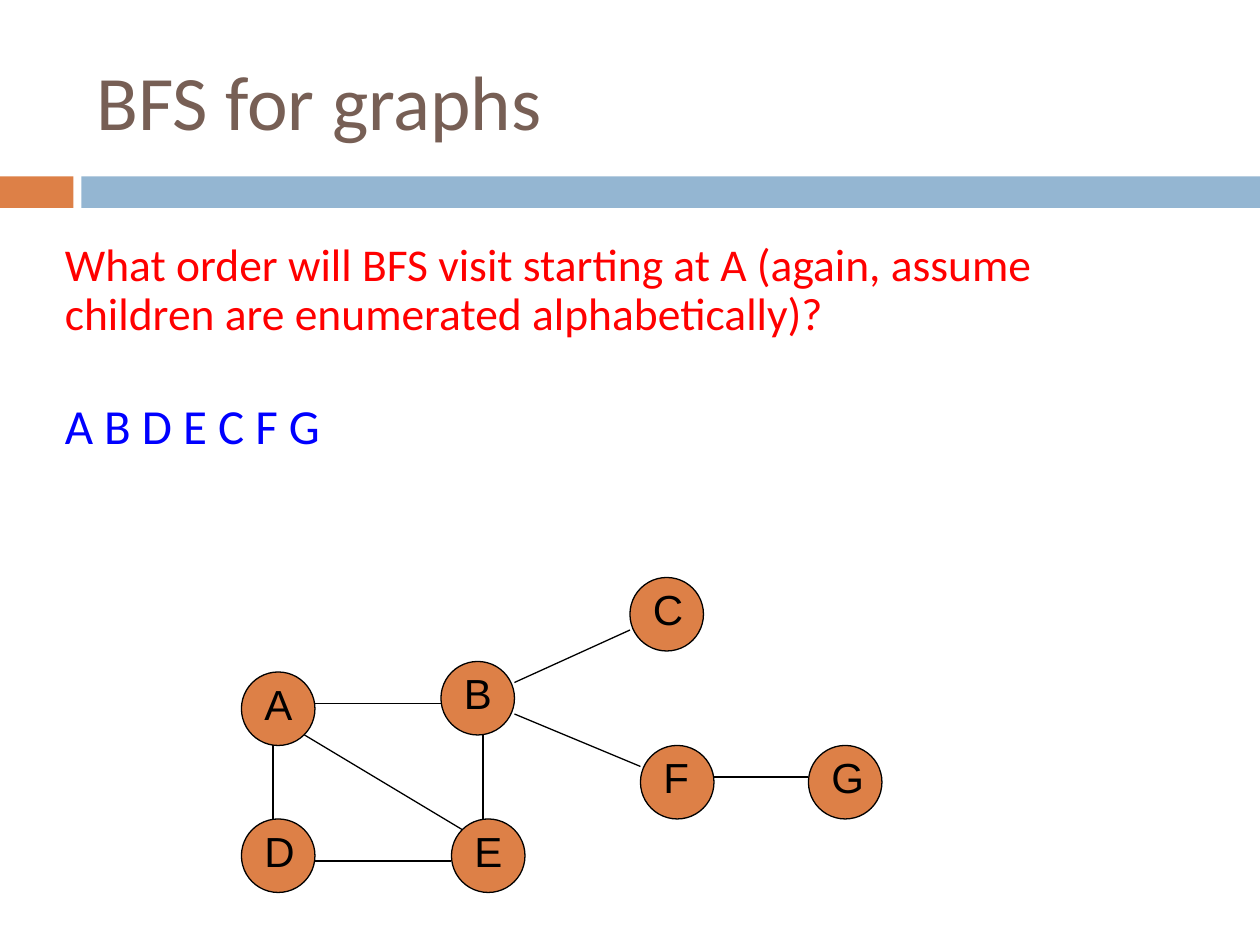
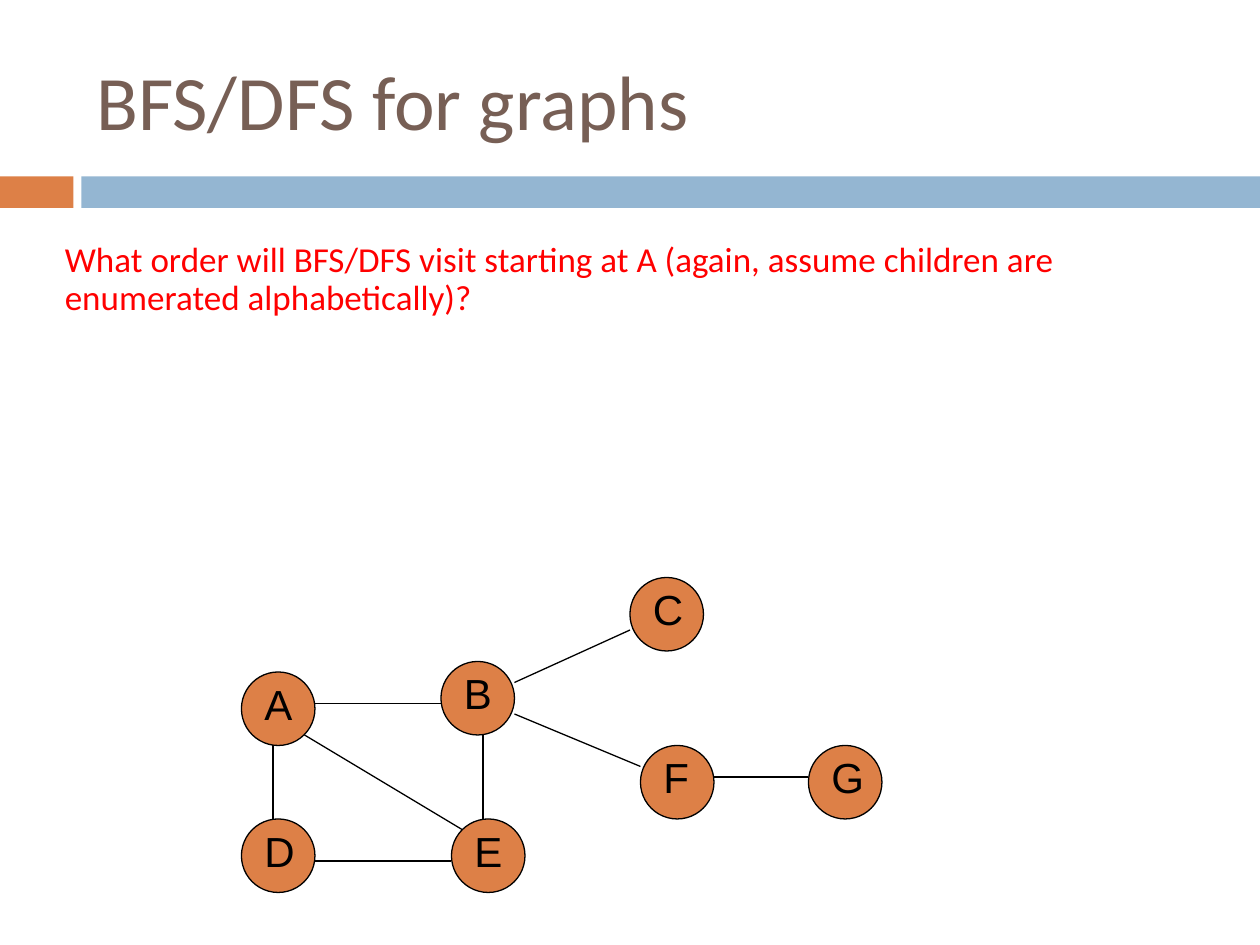
from dataclasses import dataclass

from lxml import etree
from pptx import Presentation
from pptx.dml.color import RGBColor
from pptx.enum.shapes import MSO_CONNECTOR, MSO_SHAPE
from pptx.enum.text import MSO_ANCHOR, MSO_AUTO_SIZE, PP_ALIGN
from pptx.oxml.ns import qn
from pptx.util import Pt

RECT, OVAL = MSO_SHAPE.RECTANGLE, MSO_SHAPE.OVAL
STRAIGHT = MSO_CONNECTOR.STRAIGHT
MIDDLE, LEFT = MSO_ANCHOR.MIDDLE, PP_ALIGN.LEFT
NO_FIT, GROW = MSO_AUTO_SIZE.NONE, MSO_AUTO_SIZE.SHAPE_TO_FIT_TEXT


@dataclass(frozen=True)
class Theme:
    accent: str = "DD8047"
    band: str = "94B6D2"
    title: str = "775F55"
    question: str = "FF0000"
    answer: str = "0000FF"
    ink: str = "000000"
    text_font: str = "Calibri"
    node_font: str = "Arial"
    title_size: int = 44
    answer_size: int = 28
    node_size: int = 24
    line_width: float = 0.75


THEME = Theme()

SLIDE_W, SLIDE_H = 720, 540
NODE_D = 42
LABEL_D, LABEL_DX = 36, 6

# Left and top of each node
NODES = {
    "B": (252, 378),
    "D": (138, 468),
    "E": (258, 468),
    "F": (366, 426),
    "A": (138, 384),
    "C": (360, 330),
    "G": (462, 426),
}

# Start x, y and end x, y of each edge
EDGES = {
    "AB": (180, 402, 252, 402),
    "AD": (156, 426, 156, 468),
    "DE": (180, 492, 258, 492),
    "EB": (276, 468, 276, 420),
    "AE": (174, 420, 264, 474),
    "BC": (294, 390, 360, 360),
    "BF": (294, 408, 366, 438),
    "FG": (408, 444, 462, 444),
}


def rgb(color):
    return RGBColor.from_string(color)


def box(*lengths):
    return [Pt(length) for length in lengths]


def write(tf, text, font, size, color):
    tf.text = text
    p = tf.paragraphs[0]
    p.alignment = LEFT
    p.font.name, p.font.size = font, Pt(size)
    p.font.color.rgb = rgb(color)
    return p


def add_filled(shapes, kind, color, *at):
    sp = shapes.add_shape(kind, *box(*at))
    sp.shadow.inherit = False
    sp.fill.solid()
    sp.fill.fore_color.rgb = rgb(color)
    sp.line.fill.background()
    return sp


def add_title(s, text):
    sp = s.shapes.title
    sp.left, sp.top, sp.width, sp.height = box(48, 18, 642, 78)
    tf = sp.text_frame
    tf.auto_size = NO_FIT
    tf.vertical_anchor = MIDDLE
    write(tf, text, THEME.text_font, THEME.title_size, THEME.title)


def add_bands(s):
    add_filled(s.shapes, RECT, THEME.accent, 0, 100.8, 42, 18)
    add_filled(s.shapes, RECT, THEME.band, 46.5, 100.8, SLIDE_W - 46.5, 18)


def add_question(s, text, size):
    tf = s.shapes.add_textbox(*box(30, 135, 654, 99)).text_frame
    tf.word_wrap = True
    p = write(tf, text, THEME.text_font, size, THEME.question)
    p.line_spacing = 0.9
    p.space_before = Pt(7)


def add_answer(s, text):
    tf = s.shapes.add_textbox(*box(30, 222.5, 173.5, 41)).text_frame
    tf.word_wrap = False
    tf.auto_size = GROW
    write(tf, text, THEME.text_font, THEME.answer_size, THEME.answer)


def add_node(s, name, x, y):
    shapes = s.shapes.add_group_shape().shapes
    sp = add_filled(shapes, OVAL, THEME.accent, x, y, NODE_D, NODE_D)
    sp.line.color.rgb = rgb(THEME.ink)
    sp.line.width = Pt(THEME.line_width)
    label = shapes.add_textbox(*box(x + LABEL_DX, y, LABEL_D, LABEL_D))
    tf = label.text_frame
    tf.word_wrap = True
    tf.auto_size = GROW
    p = write(tf, name, THEME.node_font, THEME.node_size, THEME.ink)
    p.space_before = Pt(2)


def add_edge(s, *ends):
    line = s.shapes.add_connector(STRAIGHT, *box(*ends))
    line.line.color.rgb = rgb(THEME.ink)
    line.line.width = Pt(THEME.line_width)
    etree.SubElement(line._element.spPr, qn("a:effectLst"))


def add_graph(s):
    for name, (x, y) in NODES.items():
        add_node(s, name, x, y)
    for ends in EDGES.values():
        add_edge(s, *ends)


def add_graph_slide(prs, methods, question_size):
    s = prs.slides.add_slide(prs.slide_layouts.get_by_name("Title Only"))
    add_bands(s)
    add_title(s, f"{methods} for graphs")
    add_question(
        s,
        f"What order will {methods} visit starting at A "
        "(again, assume children are enumerated alphabetically)?",
        question_size,
    )
    add_graph(s)
    return s


def main():
    prs = Presentation()
    prs.slide_width, prs.slide_height = box(SLIDE_W, SLIDE_H)
    bfs = add_graph_slide(prs, "BFS", 26)
    add_answer(bfs, "A B D E C F G")
    add_graph_slide(prs, "BFS/DFS", 20)
    prs.save("out.pptx")


if __name__ == "__main__":
    main()
